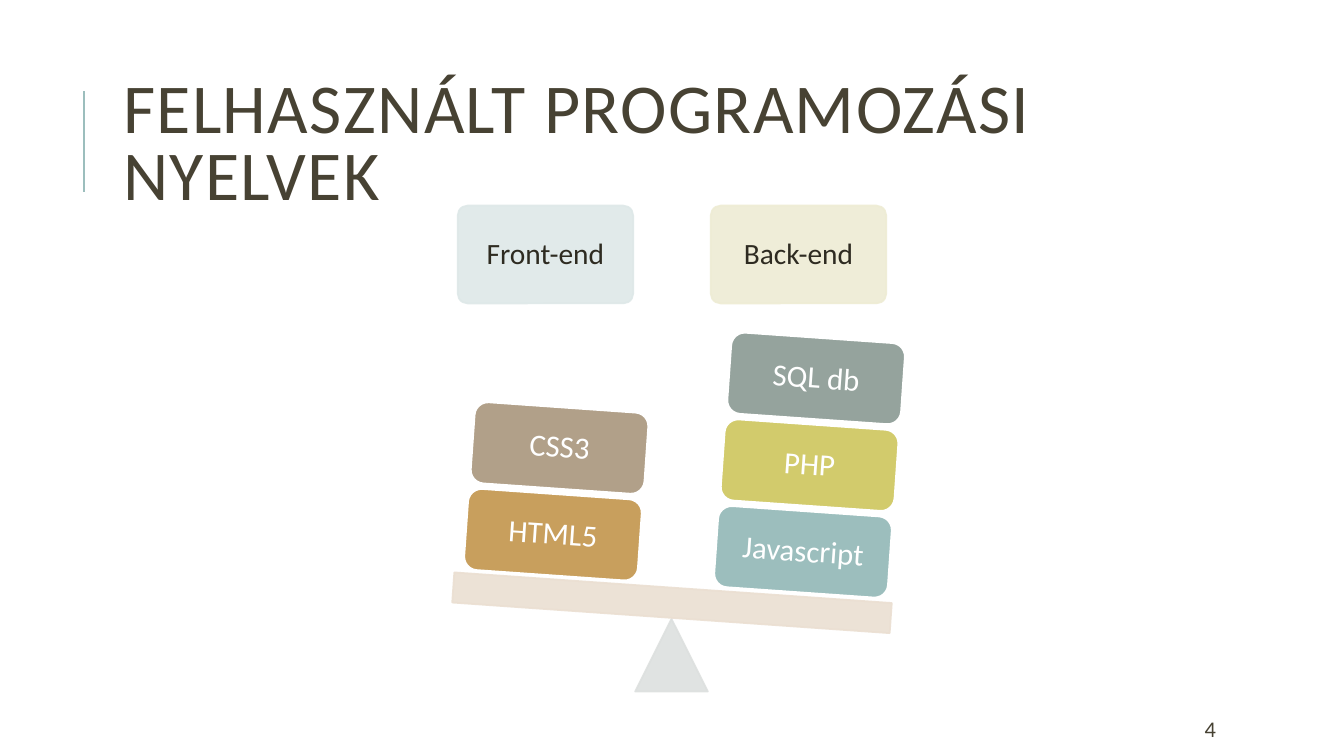
from dataclasses import dataclass

from lxml import etree
from pptx import Presentation
from pptx.dml.color import RGBColor
from pptx.enum.shapes import MSO_CONNECTOR, MSO_SHAPE
from pptx.enum.text import MSO_ANCHOR, MSO_AUTO_SIZE, PP_ALIGN
from pptx.oxml.ns import qn
from pptx.util import Inches, Pt

ROUNDED = MSO_SHAPE.ROUNDED_RECTANGLE
RECTANGLE = MSO_SHAPE.RECTANGLE
TRIANGLE = MSO_SHAPE.ISOSCELES_TRIANGLE
STRAIGHT = MSO_CONNECTOR.STRAIGHT
MIDDLE = MSO_ANCHOR.MIDDLE
NO_AUTOFIT = MSO_AUTO_SIZE.NONE
LEFT = PP_ALIGN.LEFT
CENTER = PP_ALIGN.CENTER

WHITE = RGBColor(0xFF, 0xFF, 0xFF)
BROWN = RGBColor(0x47, 0x42, 0x33)
DARK = RGBColor(0x2E, 0x2B, 0x21)
TEAL = RGBColor(0x9C, 0xBE, 0xBD)
LIME = RGBColor(0xD2, 0xCB, 0x6C)
SAGE = RGBColor(0x95, 0xA3, 0x9D)
OCHRE = RGBColor(0xC8, 0x9F, 0x5D)
TAUPE = RGBColor(0xB1, 0xA0, 0x89)
PALE_TEAL = RGBColor(0xDE, 0xE8, 0xE8)
PALE_LIME = RGBColor(0xEE, 0xEC, 0xD4)
PALE_GREY = RGBColor(0xDD, 0xE0, 0xDF)
PALE_SAND = RGBColor(0xEB, 0xDF, 0xD2)

FONT = "Calibri"
TILT = 4
WEIGHT_SIZE = (1.73, 0.81)
STACK_STEP = (0.065, -0.86)
HEADING_TOP = 2.04
HEADING_SIZE = (1.74, 0.97)


@dataclass(frozen=True)
class Weight:
    language: str
    color: RGBColor


@dataclass(frozen=True)
class Side:
    heading: str
    heading_left: float
    heading_color: RGBColor
    stack_left: float
    stack_top: float
    weights: tuple[Weight, ...]


SIDES = (
    Side("Front-end", 4.54, PALE_TEAL, 4.62, 4.9,
         (Weight("HTML5", OCHRE), Weight("CSS3", TAUPE))),
    Side("Back-end", 7.05, PALE_LIME, 7.1, 5.07,
         (Weight("Javascript", TEAL), Weight("PHP", LIME), Weight("SQL db", SAGE))),
)


def write_text(frame, text: str, *, size: float, color: RGBColor, align=LEFT,
               line_spacing: float = 1.0, margin: float | None = None,
               letter_spacing: float = 0) -> None:
    frame.auto_size = NO_AUTOFIT
    frame.word_wrap = True
    frame.vertical_anchor = MIDDLE
    if margin is not None:
        frame.margin_left = frame.margin_right = Inches(margin)
        frame.margin_top = frame.margin_bottom = Inches(margin)
    paragraph = frame.paragraphs[0]
    paragraph.text = text
    paragraph.alignment = align
    paragraph.line_spacing = line_spacing
    for run in paragraph.runs:
        run.font.size = Pt(size)
        run.font.name = FONT
        run.font.color.rgb = color
        if letter_spacing:
            run.font._element.set("spc", str(int(letter_spacing * 100)))


def add_block(slide, kind, left: float, top: float, size: tuple[float, float],
              fill: RGBColor, line: RGBColor, *, line_width: float = 1.25,
              rotation: float = 0, opacity: int = 100):
    block = slide.shapes.add_shape(
        kind, Inches(left), Inches(top), *(Inches(length) for length in size))
    block.shadow.inherit = False
    block.rotation = rotation
    block.fill.solid()
    block.fill.fore_color.rgb = fill
    block.line.color.rgb = line
    block.line.width = Pt(line_width)
    if opacity < 100:
        for color in block._element.spPr.iter(qn("a:srgbClr")):
            etree.SubElement(color, qn("a:alpha")).set("val", str(opacity * 1000))
    return block


def add_heading(slide, side: Side) -> None:
    heading = add_block(slide, ROUNDED, side.heading_left, HEADING_TOP, HEADING_SIZE,
                        side.heading_color, side.heading_color, opacity=90)
    heading.adjustments[0] = 0.1
    write_text(heading.text_frame, side.heading, size=21, color=DARK,
               align=CENTER, line_spacing=0.9, margin=0.09)


def add_stack(slide, side: Side) -> None:
    step_x, step_y = STACK_STEP
    for level, weight in enumerate(side.weights):
        block = add_block(slide, ROUNDED, side.stack_left + level * step_x,
                          side.stack_top + level * step_y, WEIGHT_SIZE,
                          weight.color, WHITE, line_width=1.5, rotation=TILT)
        write_text(block.text_frame, weight.language, size=22, color=WHITE,
                   align=CENTER, line_spacing=0.9, margin=0.09)


def add_title(slide) -> None:
    accent = slide.shapes.add_connector(
        STRAIGHT, Inches(0.83), Inches(1.9), Inches(0.83), Inches(0.9))
    accent.line.color.rgb = TEAL
    accent.line.width = Pt(1.5)
    etree.SubElement(accent._element.spPr, qn("a:effectLst"))

    title = slide.shapes.title
    title.left, title.top = Inches(1.12), Inches(0.64)
    title.width, title.height = Inches(10.63), Inches(1.64)
    write_text(title.text_frame, "FELHASZNÁLT PROGRAMOZÁSI \vNYELVEK", size=50,
               color=BROWN, line_spacing=0.8, letter_spacing=1)


def main() -> None:
    presentation = Presentation()
    presentation.slide_width = Inches(13.33)
    presentation.slide_height = Inches(7.5)
    slide = presentation.slides.add_slide(presentation.slide_layouts[5])

    add_title(slide)
    for side in SIDES:
        add_heading(slide, side)
    add_block(slide, TRIANGLE, 6.3, 6.14, (0.72, 0.72), PALE_GREY, PALE_GREY, opacity=90)
    add_block(slide, RECTANGLE, 4.49, 5.83, (4.35, 0.3), PALE_SAND, PALE_SAND,
              rotation=TILT, opacity=90)
    for side in SIDES:
        add_stack(slide, side)

    page_number = slide.shapes.add_textbox(
        Inches(11.85), Inches(7.08), Inches(1.06), Inches(0.3))
    write_text(page_number.text_frame, "4", size=16, color=BROWN)

    presentation.save("out.pptx")


if __name__ == "__main__":
    main()
